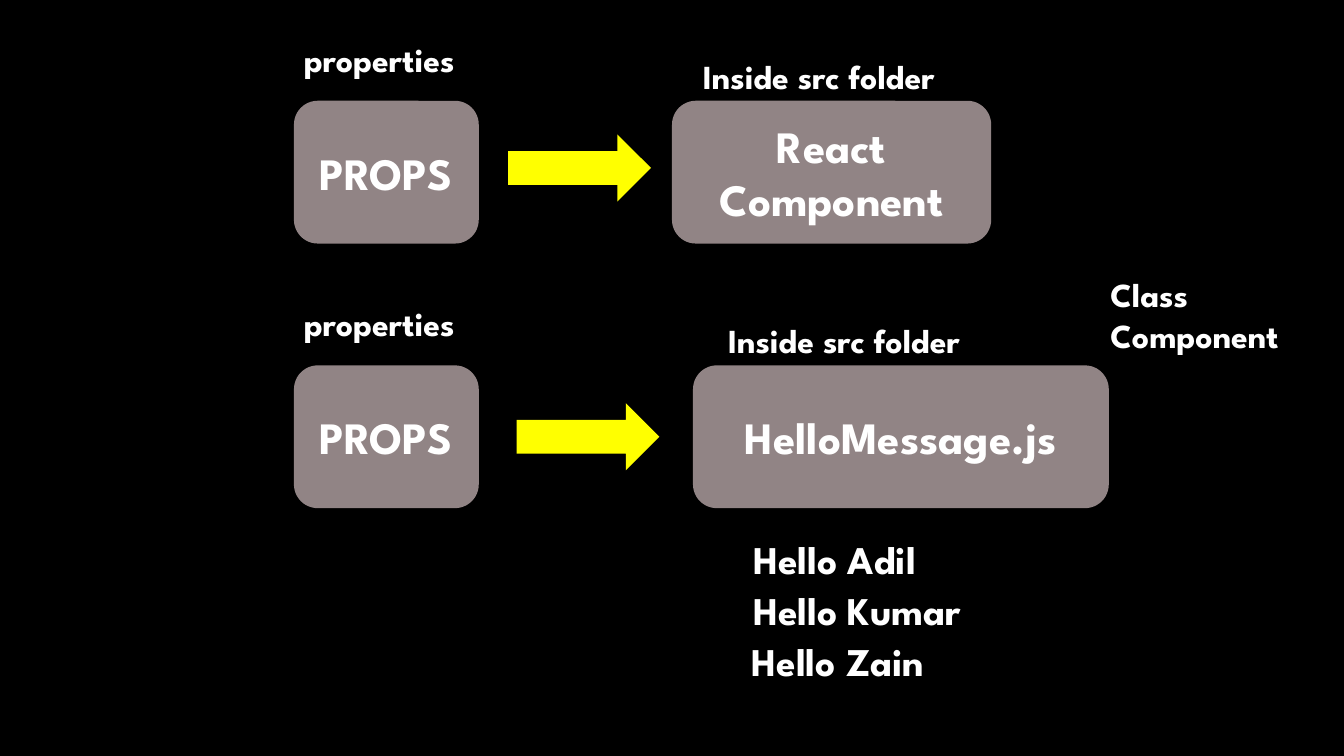
from pptx import Presentation
from pptx import util as u
from pptx.dml import color
from pptx.enum import shapes, text

COLORS = {"back": "000000", "box": "918485", "arrow": "FFFF00", "text": "FFFFFF"}
COLS, ROWS = 160, 90


def tint(name):
    return color.RGBColor.from_string(COLORS[name])


class Board:
    """Holds the text style and the slide, placing items on a 160 by 90 grid."""

    style = {"name": "League Spartan", "bold": True}

    def __init__(self, deck):
        self.cell = deck.slide_width / COLS, deck.slide_height / ROWS
        self.slide = deck.slides.add_slide(deck.slide_layouts[6])
        fill = self.slide.background.fill
        fill.solid()
        fill.fore_color.rgb = tint("back")

    def place(self, *spot):
        return [round(n * size) for n, size in zip(spot, self.cell * 2)]

    def letter(self, item, lines, size, align, **frame):
        """Fill an item with styled lines; frame holds text frame settings."""
        body = item.text_frame
        body.text = "\n".join(lines)
        frame["vertical_anchor"] = text.MSO_ANCHOR.MIDDLE
        for key, value in frame.items():
            setattr(body, key, value)
        for para in body.paragraphs:
            para.alignment = align
            font = para.runs[0].font
            for key, value in {**self.style, "size": u.Pt(size)}.items():
                setattr(font, key, value)
            font.color.rgb = tint("text")

    def shape(self, kind, hue, *spot):
        item = self.slide.shapes.add_shape(kind, *self.place(*spot))
        item.shadow.inherit = False
        item.fill.solid()
        item.fill.fore_color.rgb = tint(hue)
        item.line.fill.background()
        return item

    def box(self, words, *spot):
        item = self.shape(shapes.MSO_SHAPE.ROUNDED_RECTANGLE, "box", *spot)
        self.letter(item, [words], 32, text.PP_ALIGN.CENTER, word_wrap=True)

    def arrow(self, col, row):
        self.shape(shapes.MSO_SHAPE.RIGHT_ARROW, "arrow", col, row, 17, 8)

    def label(self, lines, size, *spot):
        item = self.slide.shapes.add_textbox(*self.place(*spot))
        self.letter(item, lines, size, text.PP_ALIGN.LEFT, word_wrap=False,
                    auto_size=text.MSO_AUTO_SIZE.SHAPE_TO_FIT_TEXT)


def main():
    deck = Presentation()
    deck.slide_width, deck.slide_height = u.Inches(13.33), u.Inches(7.5)
    board = Board(deck)

    flows = [
        # top, arrow (col, row), target name, col, width, note col
        (12, (60.5, 16), "React Component", 80, 38, 82.5),
        (43.5, (61.5, 48), "HelloMessage.js", 82.5, 49.5, 85.5),
    ]
    for top, arrow, target, col, width, note in flows:
        board.box("PROPS", 35, top, 22, 17)
        board.label(["properties"], 24, 35, top - 8, 22, 6)
        board.arrow(*arrow)
        board.box(target, col, top, width, 17)
        board.label(["Inside src folder"], 24, note, top - 6, 33, 6)

    greets = [("Adil", 88.5, 24.1), ("Kumar", 88.5, 30), ("Zain", 88.3, 24.6)]
    for step, (name, col, width) in enumerate(greets):
        board.label([f"Hello {name}"], 28, col, 63.1 + 6.08 * step, width, 6.87)

    board.label(["Class", "Component"], 24, 131, 32, 25.8, 10.9)
    deck.save("out.pptx")


if __name__ == "__main__":
    main()
